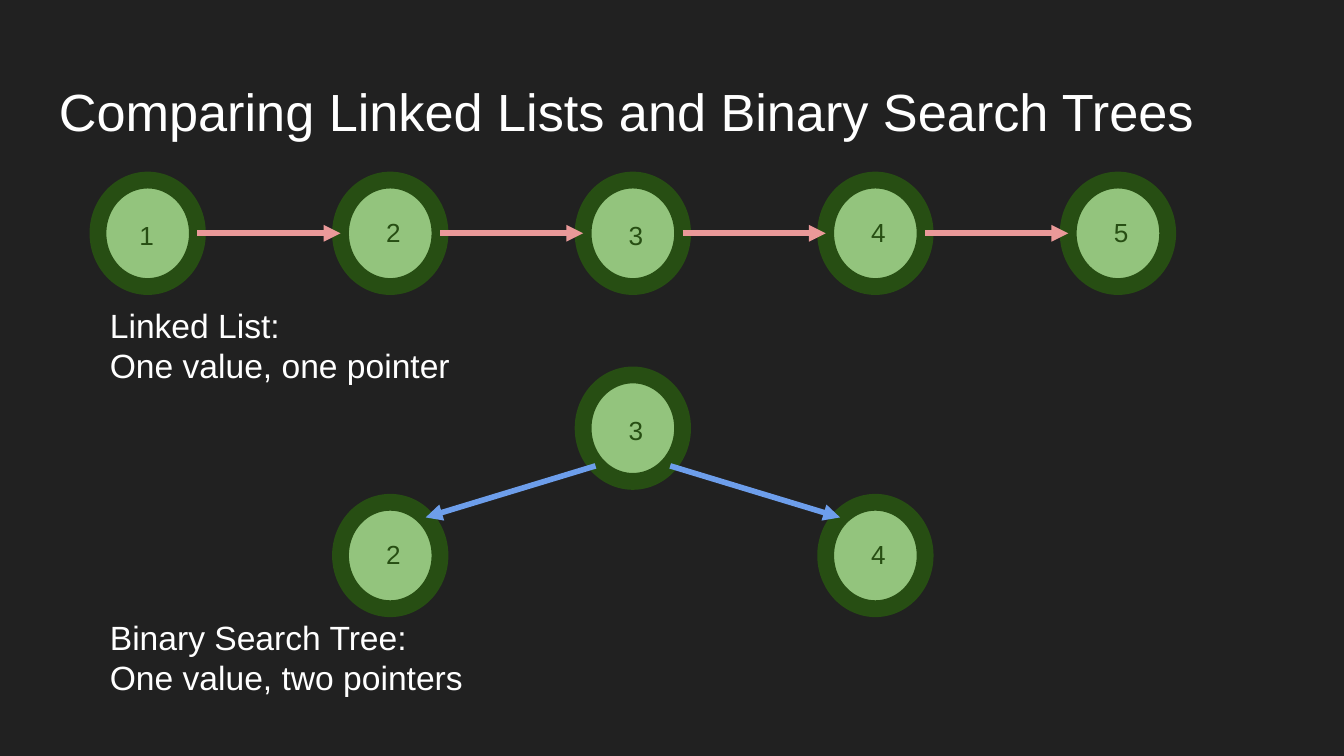
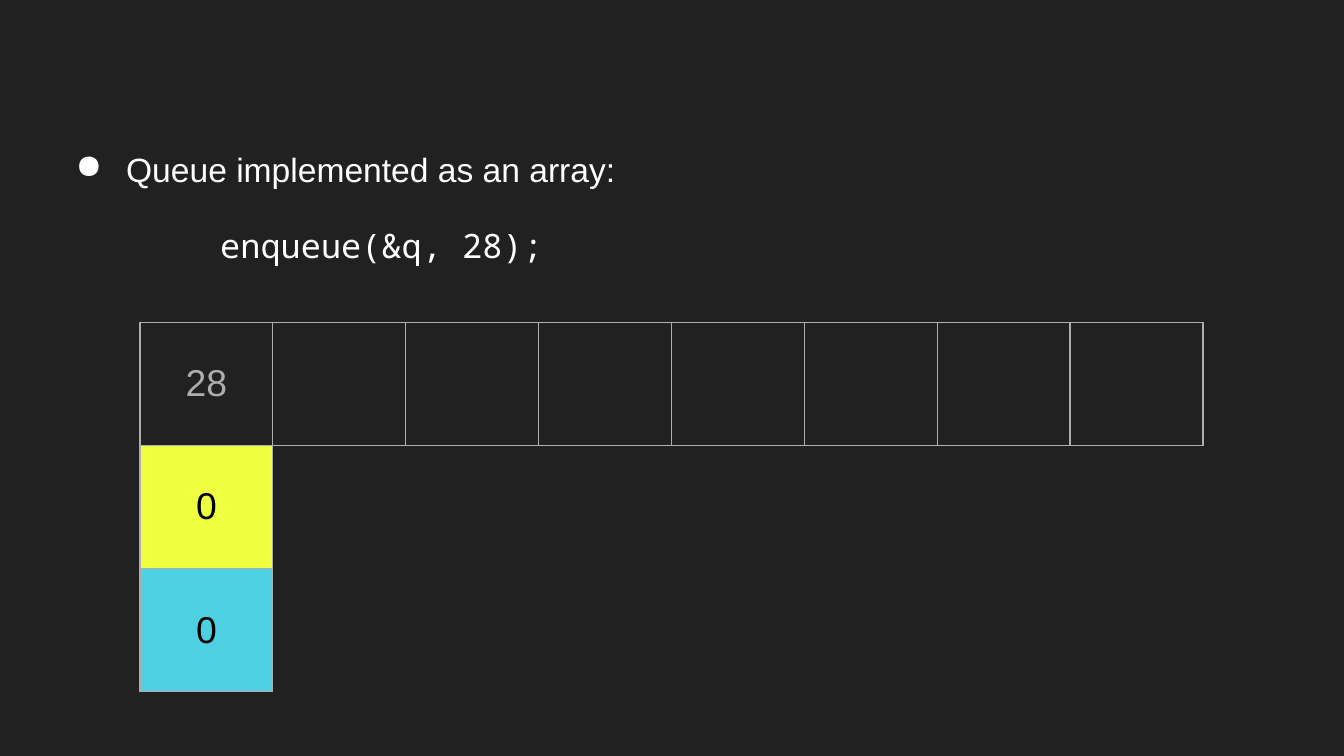
from lxml import etree
from pptx import Presentation
from pptx.dml.color import RGBColor
from pptx.enum.shapes import MSO_CONNECTOR, MSO_SHAPE
from pptx.enum.text import MSO_ANCHOR, PP_ALIGN
from pptx.oxml.ns import qn
from pptx.util import Pt

LINE = MSO_CONNECTOR.STRAIGHT
OVAL = MSO_SHAPE.OVAL
MIDDLE = MSO_ANCHOR.MIDDLE
CENTER = PP_ALIGN.CENTER

SANS, MONO = "Arial", "Noto Sans Mono"
DARK, WHITE, GREY, BLACK = "212121", "FFFFFF", "ADADAD", "000000"
NODE, RING = "93C47D", "274E13"
LIST_ARROW, TREE_ARROW = "EA9999", "6D9EEB"
FRONT, SIZE = "EEFF41", "4DD0E1"
NO_GRID = "{2D5ABB26-0587-4C30-8999-92F81FD0307C}"

INSET = 7.2
NODE_W, NODE_H = 53.3, 57
NODE_STEP = 129.95
LABEL_BOXES = {"1": (19.2, 17.3, 10), "3": (17.3, 17.3, 18)}
LABEL_BOX = (17.3, 15.8, 19)


def rgb(color):
    """Turn a hex string into a colour."""
    return RGBColor.from_string(color)


def new_slide(prs):
    """Add a blank slide with the dark background."""
    slide = prs.slides.add_slide(prs.slide_layouts[6])
    fill = slide.background.fill
    fill.solid()
    fill.fore_color.rgb = rgb(DARK)
    return slide


def add_run(p, text, size, color=WHITE, font=SANS):
    """Add one formatted run to a paragraph."""
    r = p.add_run()
    r.text = text
    r.font.size = Pt(size)
    r.font.name = font
    r.font.color.rgb = rgb(color)


def add_box(shapes, x, y, w, h, inset_y=INSET):
    """Add an empty wrapping text box and return its frame."""
    tf = shapes.add_textbox(Pt(x), Pt(y), Pt(w), Pt(h)).text_frame
    tf.word_wrap = True
    tf.margin_left = tf.margin_right = Pt(INSET)
    tf.margin_top = tf.margin_bottom = Pt(inset_y)
    return tf


def add_lines(shapes, x, y, w, h, lines, size):
    """Add a text box with one paragraph per line."""
    tf = add_box(shapes, x, y, w, h)
    for i, line in enumerate(lines):
        p = tf.add_paragraph() if i else tf.paragraphs[0]
        add_run(p, line, size)


def add_node(shapes, x, y, value):
    """Draw a ringed node with its value."""
    sp = shapes.add_shape(OVAL, Pt(x), Pt(y), Pt(NODE_W), Pt(NODE_H))
    sp.shadow.inherit = False
    sp.fill.solid()
    sp.fill.fore_color.rgb = rgb(NODE)
    sp.line.color.rgb = rgb(RING)
    sp.line.width = Pt(9)
    dx, dy, w = LABEL_BOXES.get(value, LABEL_BOX)
    p = add_box(shapes, x + dx, y + dy, w, 26, 3.6).paragraphs[0]
    p.alignment = CENTER
    add_run(p, value, 14, RING)


def add_arrow(shapes, x1, y1, x2, y2, color):
    """Draw an arrow that points at its second end."""
    cx = shapes.add_connector(LINE, Pt(x1), Pt(y1), Pt(x2), Pt(y2))
    cx.line.color.rgb = rgb(color)
    cx.line.width = Pt(3)
    ln = cx.line._get_or_add_ln()
    etree.SubElement(ln, qn("a:tailEnd"), type="triangle")
    etree.SubElement(cx._element.spPr, qn("a:effectLst"))


def linked_list(slide, x, y, values):
    """Draw a row of nodes, each pointing at the next."""
    shapes = slide.shapes.add_group_shape().shapes
    for i, value in enumerate(values):
        add_node(shapes, x + i * NODE_STEP, y, value)
    mid = y + NODE_H / 2
    for i in range(len(values) - 1):
        left = x + i * NODE_STEP
        add_arrow(shapes, left + NODE_W, mid, left + NODE_STEP, mid, LIST_ARROW)


def search_tree(slide, x, y, root, children):
    """Draw a root node that points at two children."""
    shapes = slide.shapes.add_group_shape().shapes
    drop = 68.2
    add_node(shapes, x + NODE_STEP, y, root)
    for i, value in enumerate(children):
        add_node(shapes, x + 2 * i * NODE_STEP, y + drop, value)
    center = x + NODE_STEP + NODE_W / 2
    for side in (-1, 1):
        add_arrow(shapes, center + side * 20, y + 48.7,
                  center + side * 111, y + 76.3, TREE_ARROW)


def comparison_slide(prs):
    """Compare a linked list with a binary search tree."""
    slide = new_slide(prs)
    title = "Comparing Linked Lists and Binary Search Trees"
    add_lines(slide.shapes, 24.5, 35.3, 671, 45.4, [title], 28)
    x = 52.5
    linked_list(slide, x, 96.5, "12345")
    add_lines(slide.shapes, 51.8, 156.2, 201, 50,
              ["Linked List:", "One value, one pointer"], 18)
    search_tree(slide, x + NODE_STEP, 200.9, "3", "24")
    add_lines(slide.shapes, 51.8, 323.3, 228, 50,
              ["Binary Search Tree:", "One value, two pointers"], 18)


def queue_text(slide, x, y, w, h):
    """Write the bullet and the call below it."""
    tf = add_box(slide.shapes, x, y, w, h)
    p = tf.paragraphs[0]
    p.line_spacing = 1.15
    pPr = p._p.get_or_add_pPr()
    pPr.set("marL", str(Pt(36)))
    pPr.set("indent", str(Pt(-27)))
    color = etree.SubElement(pPr, qn("a:buClr"))
    etree.SubElement(color, qn("a:srgbClr"), val=WHITE)
    etree.SubElement(pPr, qn("a:buChar"), char="●")
    add_run(p, "Queue implemented as an array:", 18)
    p = tf.add_paragraph()
    p.line_spacing = 1.15
    p.space_before = Pt(16)
    add_run(p, "        enqueue(&q, 28);", 18, font=MONO)


def add_borders(cell):
    """Give a cell thin grey lines on all sides."""
    tcPr = cell._tc.get_or_add_tcPr()
    for side in "LRTB":
        ln = etree.SubElement(tcPr, qn("a:ln" + side), w=str(Pt(0.75)))
        fill = etree.SubElement(ln, qn("a:solidFill"))
        etree.SubElement(fill, qn("a:srgbClr"), val=GREY)


def queue_table(slide, x, y, col_w, row_h):
    """Draw the array with its two index cells."""
    first_col = [("28", GREY, None), ("0", BLACK, FRONT), ("0", BLACK, SIZE)]
    rows, cols = len(first_col), 8
    table = slide.shapes.add_table(rows, cols, Pt(x), Pt(y), Pt(cols * col_w),
                                   Pt(rows * row_h)).table
    table.first_row = table.horz_banding = False
    table._tbl.tblPr.find(qn("a:tableStyleId")).text = NO_GRID
    for col in table.columns:
        col.width = Pt(col_w)
    for i, (text, color, fill) in enumerate(first_col):
        table.rows[i].height = Pt(row_h)
        for j in range(cols):
            cell = table.cell(i, j)
            if i == 0 or j == 0:
                add_borders(cell)
            cell.fill.background()
        cell = table.cell(i, 0)
        cell.vertical_anchor = MIDDLE
        cell.margin_left = cell.margin_right = Pt(INSET)
        cell.margin_top = cell.margin_bottom = Pt(INSET)
        p = cell.text_frame.paragraphs[0]
        p.alignment = CENTER
        add_run(p, text, 20, color)
        if fill:
            cell.fill.solid()
            cell.fill.fore_color.rgb = rgb(fill)


def queue_slide(prs):
    """Show a queue stored as an array."""
    slide = new_slide(prs)
    queue_text(slide, 24.5, 69.1, 671, 254)
    queue_table(slide, 75, 172.6, 71.2, 66)


def main():
    """Build and save both slides."""
    prs = Presentation()
    prs.slide_width, prs.slide_height = Pt(720), Pt(405)
    comparison_slide(prs)
    queue_slide(prs)
    prs.save("out.pptx")


if __name__ == "__main__":
    main()
